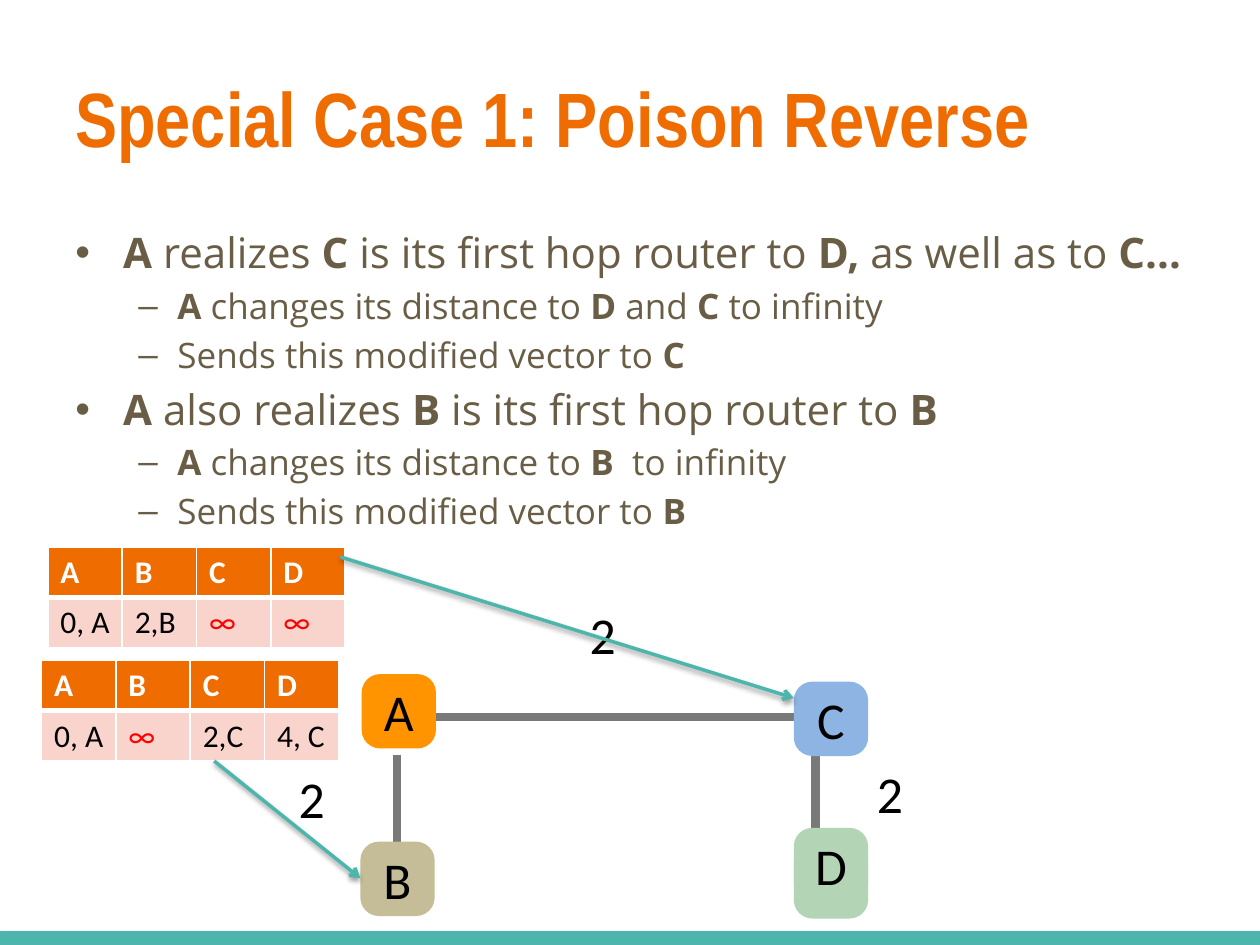
import pptx
import pptx.util
import pptx.oxml
import pptx.oxml.ns
import lxml.etree
from pptx.dml.color import RGBColor
from pptx.enum.shapes import MSO_CONNECTOR, MSO_SHAPE
from pptx.enum.text import MSO_ANCHOR, PP_ALIGN
from pptx.util import Inches

ORANGE = RGBColor(0xEF, 0x6C, 0x00)
BROWN = RGBColor(0x69, 0x5D, 0x46)
TEAL = RGBColor(0x4D, 0xB6, 0xAC)
GRAY = RGBColor(0x79, 0x79, 0x79)
PINK = RGBColor(0xF9, 0xD4, 0xCC)
RED = RGBColor(0xFF, 0x00, 0x00)
BLACK = RGBColor(0x00, 0x00, 0x00)
WHITE = RGBColor(0xFF, 0xFF, 0xFF)
AMBER = RGBColor(0xFF, 0x93, 0x00)
BLUE = RGBColor(0x8E, 0xB4, 0xE3)
KHAKI = RGBColor(0xC4, 0xBD, 0x97)
GREEN = RGBColor(0xB3, 0xD5, 0xB5)

# Content: asterisks enclose bold words
TITLE = "*Special Case 1: Poison Reverse*"
BULLETS = [
    (0, "*A* realizes *C *is its first hop router to *D, *as well as to *C…*"),
    (1, "*A *changes its distance to *D* and *C *to infinity"),
    (1, "Sends this modified vector to *C*"),
    (0, "*A *also realizes *B *is its first hop router to *B*"),
    (1, "*A *changes its distance to *B * to infinity"),
    (1, "Sends this modified vector to *B*"),
]
LEVELS = [  # bullet, size, left margin, hanging indent
    ("•", 24, 0.38, 0.38),
    ("–", 20, 0.81, 0.31),
]
HEADER = ["A", "B", "C", "D"]
VECTORS = [  # left, top, distances
    (0.33, 5.24, ["0, A", "∞", "2,C", "4, C"]),
    (0.38, 4.34, ["0, A", "2,B", "∞", "∞"]),
]
ROUTERS = [  # name, left, top, colour
    ("A", 2.87, 5.35, AMBER),
    ("C", 6.3, 5.41, BLUE),
    ("B", 2.86, 6.68, KHAKI),
    ("", 6.3, 6.7, GREEN),
    ("D", 6.3, 6.57, GREEN),
]
LINKS = [
    (3.45, 5.69, 6.3, 5.69),
    (6.47, 6.68, 6.47, 5.99),
    (3.15, 5.99, 3.15, 6.68),
]
COSTS = [(2.33, 6.04), (4.64, 4.74), (6.92, 6)]
UPDATES = [(2.7, 4.42, 6.3, 5.54), (1.7, 6.04, 2.86, 6.97)]
ROUTER_SIZE = 0.59
COLUMN_WIDTH, ROW_HEIGHT = 0.59, 0.4

deck = pptx.Presentation()
deck.slide_width, deck.slide_height = Inches(10), Inches(7.5)
page = deck.slides.add_slide(deck.slide_layouts[6])


def write(para, text, size=18, font="Calibri", color=BLACK, align=None):
    if align is not None:
        para.alignment = align
    for index, part in enumerate(text.split("*")):
        if part:
            span = para.add_run()
            span.text = part
            span.font.size = pptx.util.Pt(size)
            span.font.name = font
            span.font.bold = index % 2 == 1
            span.font.color.rgb = color


def add_box(left, top, width, height, anchor=MSO_ANCHOR.MIDDLE):
    box = page.shapes.add_textbox(*map(Inches, (left, top, width, height)))
    box.text_frame.word_wrap = True
    box.text_frame.vertical_anchor = anchor
    return box.text_frame


def set_insets(frame, inset):
    frame.margin_left = frame.margin_right = Inches(inset)
    frame.margin_top = frame.margin_bottom = Inches(inset)


def add_line(ends, color, width, arrow=False, shadow=False):
    line = page.shapes.add_connector(MSO_CONNECTOR.STRAIGHT, *map(Inches, ends))
    line.line.color.rgb = color
    line.line.width = pptx.util.Pt(width)
    properties = line._element.spPr
    if arrow:
        tail = lxml.etree.SubElement(line.line._get_or_add_ln(), pptx.oxml.ns.qn("a:tailEnd"))
        tail.set("type", "arrow")
    effects = lxml.etree.SubElement(properties, pptx.oxml.ns.qn("a:effectLst"))
    if shadow:
        outer = lxml.etree.SubElement(
            effects, pptx.oxml.ns.qn("a:outerShdw"), blurRad=str(pptx.util.Pt(3.1)),
            dist=str(pptx.util.Pt(1.6)), dir="5400000", rotWithShape="0")
        black = lxml.etree.SubElement(outer, pptx.oxml.ns.qn("a:srgbClr"), val="000000")
        lxml.etree.SubElement(black, pptx.oxml.ns.qn("a:alpha"), val="38000")


def add_borders(cell, bottom):
    properties = cell._tc.get_or_add_tcPr()
    for index, (side, width) in enumerate(zip("LRTB", (1, 1, 1, bottom))):
        border = pptx.oxml.parse_xml(
            f'<a:ln{side} {pptx.oxml.ns.nsdecls("a")} w="{pptx.util.Pt(width)}">'
            '<a:solidFill><a:srgbClr val="FFFFFF"/></a:solidFill>'
            f'</a:ln{side}>')
        properties.insert(index, border)


def add_vector(left, top, distances):
    frame = page.shapes.add_table(
        2, len(HEADER), Inches(left), Inches(top),
        Inches(COLUMN_WIDTH * len(HEADER)), Inches(ROW_HEIGHT * 2))
    for row, texts in enumerate((HEADER, distances)):
        for column, text in enumerate(texts):
            cell = frame.table.cell(row, column)
            cell.margin_right = Inches(0.02)  # keeps each entry on one line
            cell.fill.solid()
            cell.fill.fore_color.rgb = PINK if row else ORANGE
            add_borders(cell, 1 if row else 3)
            para = cell.text_frame.paragraphs[0]
            if row:
                write(para, text, color=RED if text == "∞" else BLACK)
            else:
                write(para, f"*{text}*", color=WHITE)


# Footer bar and title
add_line((0, 7.46, 10, 7.46), TEAL, 10, shadow=True)
write(add_box(0.5, 0.3, 9, 1.25).paragraphs[0], TITLE,
      size=44, font="Arial Narrow", color=ORANGE)

# Bulleted explanation
body = add_box(0.5, 1.75, 9, 4.95, anchor=MSO_ANCHOR.TOP)
for index, (level, text) in enumerate(BULLETS):
    para = body.add_paragraph() if index else body.paragraphs[0]
    mark, size, margin, hanging = LEVELS[level]
    para.level = level
    para.space_before = pptx.util.Pt(size * 0.2)
    settings = para._p.get_or_add_pPr()
    settings.set("marL", str(Inches(margin)))
    settings.set("indent", str(-Inches(hanging)))
    lxml.etree.SubElement(settings, pptx.oxml.ns.qn("a:buFont"), typeface="Arial")
    lxml.etree.SubElement(settings, pptx.oxml.ns.qn("a:buChar"), char=mark)
    write(para, text, size=size, font="Open Sans", color=BROWN)

# Network links and routers
for ends in LINKS:
    add_line(ends, GRAY, 5)
for name, left, top, color in ROUTERS:
    router = page.shapes.add_shape(
        MSO_SHAPE.ROUNDED_RECTANGLE,
        *map(Inches, (left, top, ROUTER_SIZE, ROUTER_SIZE)))
    router.adjustments[0] = 0.25
    router.shadow.inherit = False
    router.fill.solid()
    router.fill.fore_color.rgb = color
    router.line.fill.background()
    set_insets(router.text_frame, 0)
    router.text_frame.vertical_anchor = MSO_ANCHOR.MIDDLE
    write(router.text_frame.paragraphs[0], name, size=29.5, align=PP_ALIGN.CENTER)

# Distance vectors, link costs and the updates sent to neighbours
for vector in VECTORS:
    add_vector(*vector)
for left, top in COSTS:
    cost = add_box(left, top, 0.47, 0.58)
    set_insets(cost, 0.04)
    write(cost.paragraphs[0], "2", size=29.5)
for ends in UPDATES:
    add_line(ends, TEAL, 2, arrow=True, shadow=True)

deck.save("out.pptx")
